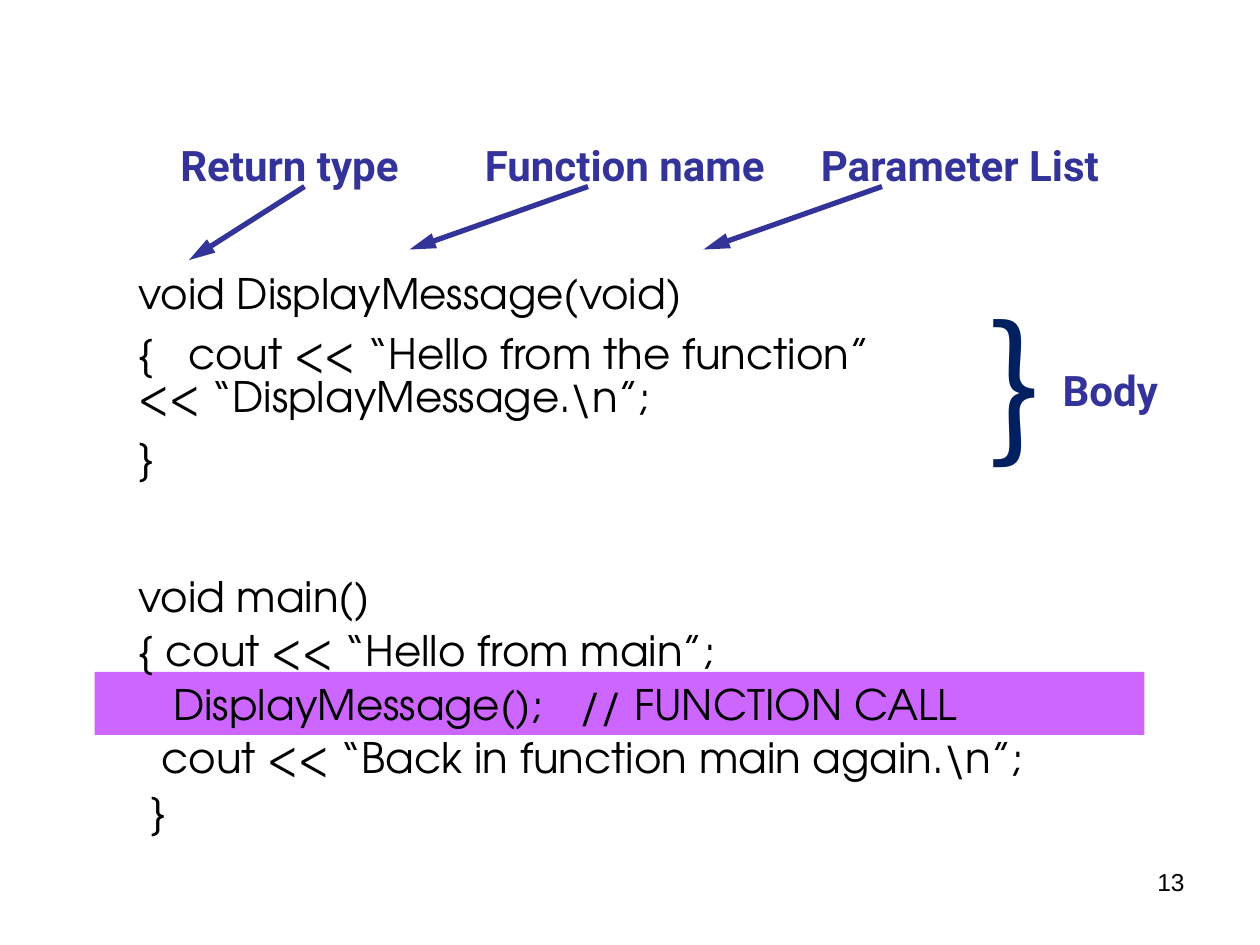
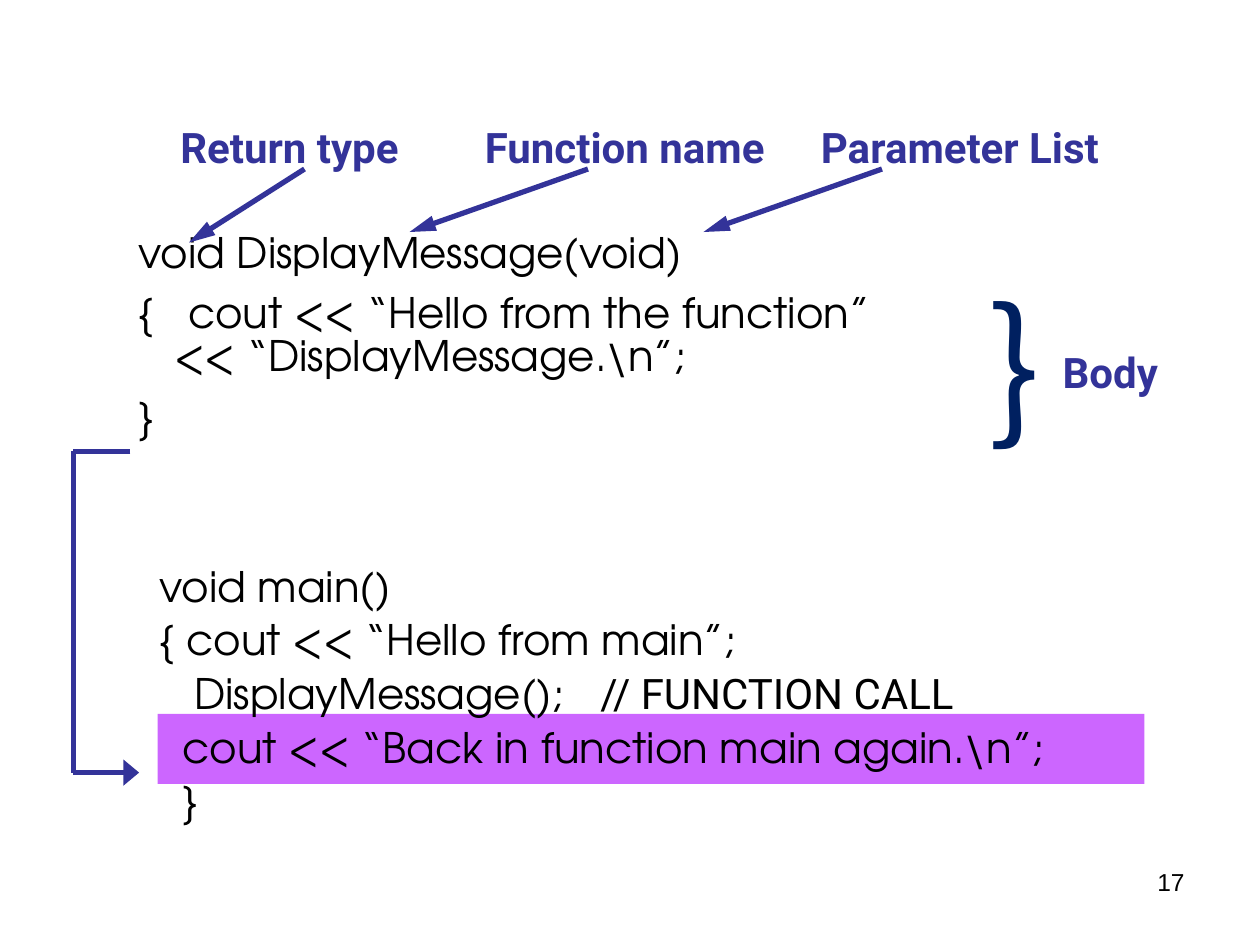
from lxml import etree
from pptx import Presentation
from pptx.dml.color import RGBColor
from pptx.enum.shapes import MSO_CONNECTOR, MSO_SHAPE
from pptx.enum.text import PP_ALIGN
from pptx.oxml.ns import qn
from pptx.util import Pt

STRAIGHT = MSO_CONNECTOR.STRAIGHT
RECTANGLE = MSO_SHAPE.RECTANGLE
RIGHT = PP_ALIGN.RIGHT
BLANK_LAYOUT = 6

COLORS = {"code": "000000", "callout": "333399", "brace": "002060", "highlight": "CC66FF"}
CODE_FONT, CALLOUT_FONT, BRACE_FONT, NUMBER_FONT = (
    "TeX Gyre Adventor", "Roboto", "Noto Sans CJK JP", "Arial")

# label, left, width, arrow start x, arrow run, arrow drop
SIGNATURE_PARTS = [
    ("Return type", 96, 186, 174, -66, 42),
    ("Function name", 270, 186, 336, -102, 36),
    ("Parameter List", 462, 198, 504, -102, 36),
]


def style(run, font, size, color, bold=False):
    run.font.name, run.font.size, run.font.bold = font, Pt(size), bold
    run.font.color.rgb = RGBColor.from_string(COLORS[color])


def add_frame(slide, left, top, width, height):
    frame = slide.shapes.add_textbox(Pt(left), Pt(top), Pt(width), Pt(height)).text_frame
    frame.word_wrap = True
    return frame


def add_label(slide, box, text, font, size, color, bold=False, space_before=0):
    frame = add_frame(slide, *box)
    frame.text = text
    paragraph = frame.paragraphs[0]
    paragraph.space_before = Pt(space_before)
    style(paragraph.runs[0], font, size, color, bold)
    return frame


def add_callout(slide, box, text):
    return add_label(slide, box, text, CALLOUT_FONT, 24, "callout", True, 15)


def add_line(slide, start, end, head=None):
    """Draw a line; head is the (width, length) of an arrowhead at its end."""
    line = slide.shapes.add_connector(STRAIGHT, *map(Pt, start + end))
    line.line.color.rgb = RGBColor.from_string(COLORS["callout"])
    line.line.width = Pt(3)
    properties = line._element.spPr
    if head:
        etree.SubElement(properties.find(qn("a:ln")), qn("a:tailEnd"),
                         type="triangle", w=head[0], len=head[1])
    etree.SubElement(properties, qn("a:effectLst"))


def set_tab_stops(paragraph, stops):
    tab_list = etree.SubElement(paragraph._p.get_or_add_pPr(), qn("a:tabLst"))
    for stop in stops:
        etree.SubElement(tab_list, qn("a:tab"), pos=str(Pt(stop)), algn="l")


def add_code(slide, box, lines, comment_font=CODE_FONT):
    """Set code lines, each given as text, line spacing and tab stops."""
    frame = add_frame(slide, *box)
    for index, (text, spacing, stops) in enumerate(lines):
        paragraph = frame.add_paragraph() if index else frame.paragraphs[0]
        code, slashes, comment = text.partition("//")
        paragraph.text = code
        paragraph.line_spacing = spacing
        paragraph.space_before = Pt(10.5)
        for run in paragraph.runs:
            style(run, CODE_FONT, 24, "code")
        if slashes:
            remark = paragraph.add_run()
            remark.text = slashes + comment
            style(remark, comment_font, 24, "code")
        if stops:
            set_tab_stops(paragraph, stops)


def add_function(slide, box, continuation_indent):
    add_code(slide, box, [
        ("void DisplayMessage(void)", 0.75, ()),
        ("{\t\tcout << “Hello from the function”\v"
         + continuation_indent + "<< “DisplayMessage.\\n”;", 0.85, (20.5, 28.5)),
        ("}", 0.85, ()),
    ])


def add_main(slide, box, closing_indent, comment_font):
    add_code(slide, box, [
        ("void main()", 0.7, ()),
        ("{ cout << “Hello from main”;", 0.7, ()),
        ("\tDisplayMessage();\t// FUNCTION CALL", 0.7, (20, 252)),
        ("\tcout << “Back in function main again.\\n”;", 0.7, (13.33,)),
        ("\t}", 0.7, (closing_indent,)),
    ], comment_font)


def add_highlight(slide, left, top, width, height):
    band = slide.shapes.add_shape(RECTANGLE, Pt(left), Pt(top), Pt(width), Pt(height))
    band.shadow.inherit = False
    band.fill.solid()
    band.fill.fore_color.rgb = RGBColor.from_string(COLORS["highlight"])
    band.line.fill.background()


def add_signature_callouts(slide, top):
    for text, left, width, arrow_x, run, drop in SIGNATURE_PARTS:
        add_callout(slide, (left, top, width, 36), text)
        arrow_y = top + 30.6
        add_line(slide, (arrow_x, arrow_y), (arrow_x + run, arrow_y + drop), ("med", "lg"))
    body = add_callout(slide, (582, top + 128.5, 96, 36), "Body")
    body.margin_left = Pt(25.2)
    add_label(slide, (558, top + 84.6, 66, 113), "}", BRACE_FONT, 88, "brace")


def add_return_path(slide, left, top, height):
    """Lead from the end of the function back to the line after its call."""
    bottom = top + height
    add_line(slide, (left + 32.5, top), (left, top))
    add_line(slide, (left, top), (left, bottom))
    add_line(slide, (left, bottom), (left + 37.5, bottom), ("lg", "med"))


def add_page_number(slide, number):
    frame = add_label(slide, (516, 492, 168, 37.5), number, NUMBER_FONT, 14, "code")
    frame.paragraphs[0].alignment = RIGHT


def build_call_slide(slide):
    add_highlight(slide, 54, 384, 600, 36)
    add_function(slide, (72, 156, 648, 123), "")
    add_main(slide, (72, 330.5, 684, 150.5), 6.67, CODE_FONT)
    add_page_number(slide, "13")
    add_signature_callouts(slide, 76)


def build_return_slide(slide):
    add_highlight(slide, 90, 408, 564, 40)
    add_function(slide, (72, 132.5, 576, 123), "\t")
    add_main(slide, (84, 324.5, 606, 150.5), 13.33, CALLOUT_FONT)
    add_return_path(slide, 42, 258, 183.5)
    add_page_number(slide, "17")
    add_signature_callouts(slide, 66)


def main():
    deck = Presentation()
    deck.slide_width, deck.slide_height = Pt(720), Pt(540)
    for build in (build_call_slide, build_return_slide):
        build(deck.slides.add_slide(deck.slide_layouts[BLANK_LAYOUT]))
    deck.save("out.pptx")


if __name__ == "__main__":
    main()
